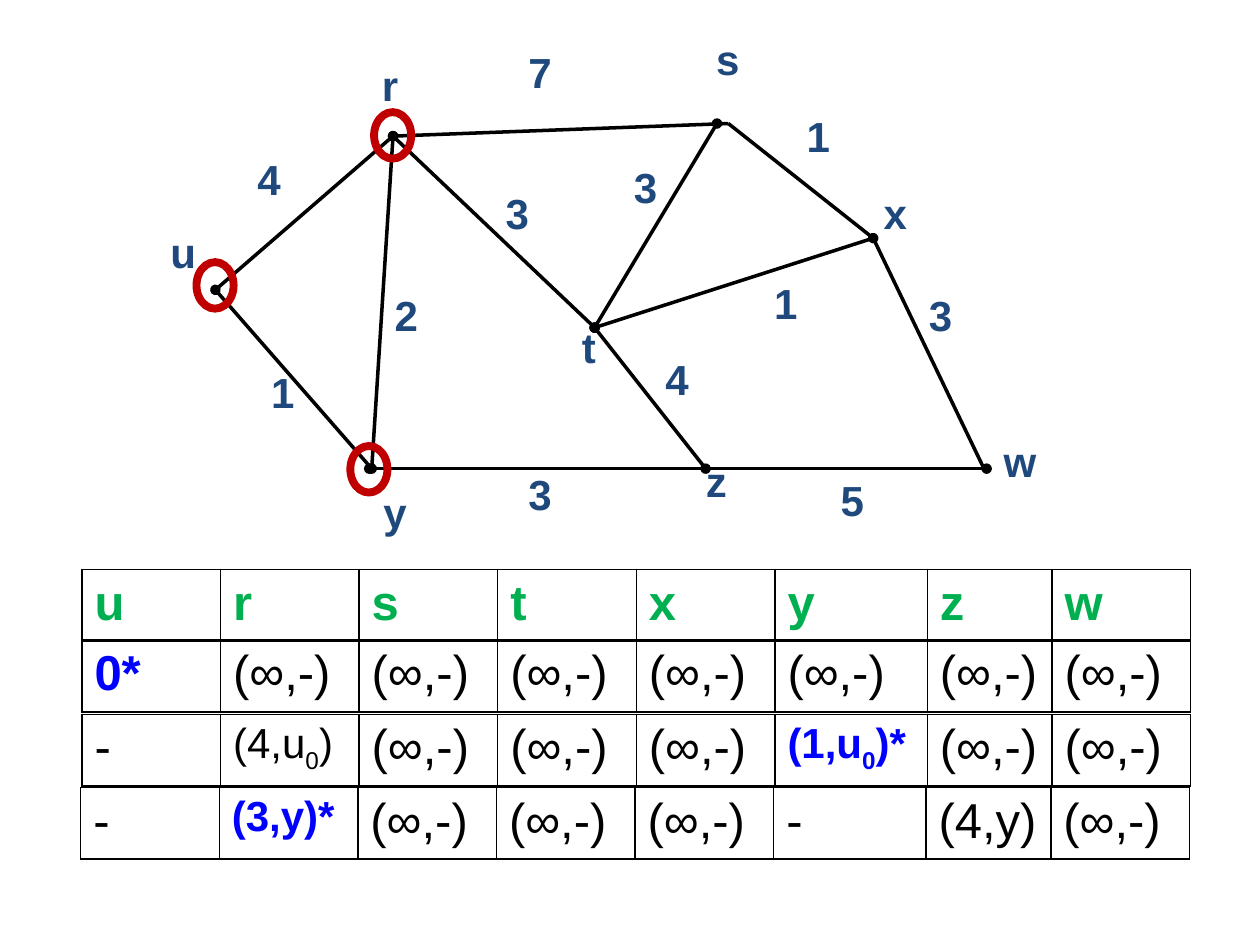
import pptx
import pptx.util
import pptx.dml.color
import pptx.enum.shapes
import pptx.enum.text
import pptx.oxml
import pptx.oxml.ns

Pt = pptx.util.Pt
RGBColor = pptx.dml.color.RGBColor
qn = pptx.oxml.ns.qn

BLACK = RGBColor(0x00, 0x00, 0x00)
NAVY = RGBColor(0x1F, 0x49, 0x7D)
GREEN = RGBColor(0x00, 0xB0, 0x50)
BLUE = RGBColor(0x00, 0x00, 0xFF)
RED = RGBColor(0xC0, 0x00, 0x00)
FONT = "Arial"

# Graph: some edges meet a vertex slightly beside its dot
VERTICES = {
    "u": (123.1, 165.6), "r": (224.6, 77.8), "t": (339.8, 187.2),
    "s": (409.7, 70.6), "s edge": (416.2, 70.6), "x": (499, 136.1),
    "y": (212.4, 267.8), "y edge": (211, 267.8), "z": (403.2, 267.8),
    "w": (563.8, 267.8), "w edge": (562.3, 267.8),
}
# start, end, width, dots at both ends
EDGES = [
    ("u", "r", 2, True), ("r", "s edge", 2, False), ("u", "y", 2, False),
    ("y edge", "w", 2, True), ("s edge", "x", 2, False),
    ("x", "w edge", 2, False), ("r", "y", 0.75, False),
    ("r", "t", 2, False), ("t", "s", 2, True), ("t", "z", 2, True),
    ("t", "x", 2, True), ("r", "y", 2, True),
]
WEIGHTS = [
    ("7", 293.8, 23), ("1", 452.9, 59.8), ("3", 522.7, 162),
    ("5", 472.3, 267.8), ("3", 293.8, 264.2), ("1", 146.9, 205.9),
    ("2", 217.4, 162), ("3", 280.8, 103.7), ("3", 354.2, 88.6),
    ("1", 434.2, 154.8), ("4", 372.2, 198.7), ("4", 139, 84.2),
]
VERTEX_NAMES = [
    ("u", 90, 126, 29.5), ("r", 211, 30.2, 23.8), ("s", 401.8, 15.8, 28.1),
    ("x", 497.5, 103.7, 28.1), ("w", 563.8, 245.5, 38.2),
    ("z", 395.3, 257, 28.1), ("y", 211.7, 274.3, 28.1),
    ("t", 325.4, 180, 22.3),
]
VISITED = [(112.3, 149.8), (200.2, 254.9), (213.8, 64.1)]

# Distance table: a cell is (run texts, size, colour, bold);
# the second run of a cell is a subscript
COLUMN_WIDTHS = [79.2] * 5 + [87.1, 71.3, 79.2]
ROW_HEIGHT = 41


def plain(text):
    return [text], 28, BLACK, False


UNREACHED = plain("(∞,-)")
DONE = plain("-")
STEPS = [
    (46.8, 325.4, [([name], 28, GREEN, True) for name in "urstxyzw"]),
    (46.8, 365.8, [(["0*"], 28, BLUE, True)] + [UNREACHED] * 7),
    (46.8, 408.2, [DONE, (["(4,u", "0", ")"], 24, BLACK, False)]
     + [UNREACHED] * 3
     + [(["(1,u", "0", ")*"], 24, BLUE, True)] + [UNREACHED] * 2),
    (46.1, 450, [DONE, (["(3,y)*"], 24, BLUE, True)] + [UNREACHED] * 3
     + [DONE, plain("(4,y)"), UNREACHED]),
]


def add_run(paragraph, text, size, color, bold):
    run = paragraph.add_run()
    run.text = text
    run.font.name = FONT
    run.font.size = Pt(size)
    run.font.bold = bold
    run.font.color.rgb = color
    return run


def add_borders(cell):
    properties = cell._tc.get_or_add_tcPr()
    for side in ("lnL", "lnR", "lnT", "lnB"):
        border = properties.makeelement(qn(f"a:{side}"), {"w": str(Pt(1))})
        fill = pptx.oxml.parse_xml(
            '<a:solidFill xmlns:a="http://schemas.openxmlformats.org/'
            f'drawingml/2006/main"><a:srgbClr val="{BLACK}"/></a:solidFill>')
        border.append(fill)
        properties.append(border)


def add_step(slide, left, top, entries):
    frame = slide.shapes.add_table(
        1, len(entries), Pt(left), Pt(top),
        Pt(sum(COLUMN_WIDTHS)), Pt(ROW_HEIGHT))
    step = frame.table
    step.first_row = False
    step.horz_banding = False
    for column, width in zip(step.columns, COLUMN_WIDTHS):
        column.width = Pt(width)
    for cell, (texts, size, color, bold) in zip(step.iter_cells(), entries):
        add_borders(cell)
        cell.fill.background()
        for index, text in enumerate(texts):
            run = add_run(cell.text_frame.paragraphs[0],
                          text, size, color, bold)
            if index == 1:
                run._r.get_or_add_rPr().set("baseline", "-25000")


def add_edge(slide, start, end, width, dotted):
    points = [Pt(value) for value in VERTICES[start] + VERTICES[end]]
    edge = slide.shapes.add_connector(
        pptx.enum.shapes.MSO_CONNECTOR.STRAIGHT, *points)
    edge.line.color.rgb = BLACK
    edge.line.width = Pt(width)
    if dotted:
        line = edge.line._get_or_add_ln()
        for tag in ("a:headEnd", "a:tailEnd"):
            line.append(line.makeelement(qn(tag), {"type": "oval"}))
    properties = edge._element.spPr
    properties.append(properties.makeelement(qn("a:effectLst"), {}))


def add_label(slide, text, left, top, width=29.5):
    label = slide.shapes.add_textbox(Pt(left), Pt(top), Pt(width), Pt(43.9))
    label.text_frame.word_wrap = False
    label.text_frame.auto_size = pptx.enum.text.MSO_AUTO_SIZE.SHAPE_TO_FIT_TEXT
    paragraph = label.text_frame.paragraphs[0]
    paragraph.alignment = pptx.enum.text.PP_ALIGN.CENTER
    add_run(paragraph, text, 24, NAVY, True)


def add_visited_ring(slide, left, top):
    ring = slide.shapes.add_shape(
        pptx.enum.shapes.MSO_SHAPE.OVAL, Pt(left), Pt(top), Pt(21.2), Pt(26.6))
    ring.shadow.inherit = False
    ring.fill.background()
    ring.line.color.rgb = RED
    ring.line.width = Pt(4.5)


def main():
    deck = pptx.Presentation()
    deck.slide_width = Pt(720)
    deck.slide_height = Pt(540)
    slide = deck.slides.add_slide(deck.slide_layouts[6])

    # Distance table, one row per step
    for step in STEPS:
        add_step(slide, *step)

    # Weighted graph
    for edge in EDGES:
        add_edge(slide, *edge)
    for label in WEIGHTS + VERTEX_NAMES:
        add_label(slide, *label)

    # Vertices already visited
    for ring in VISITED:
        add_visited_ring(slide, *ring)

    deck.save("out.pptx")


if __name__ == "__main__":
    main()
